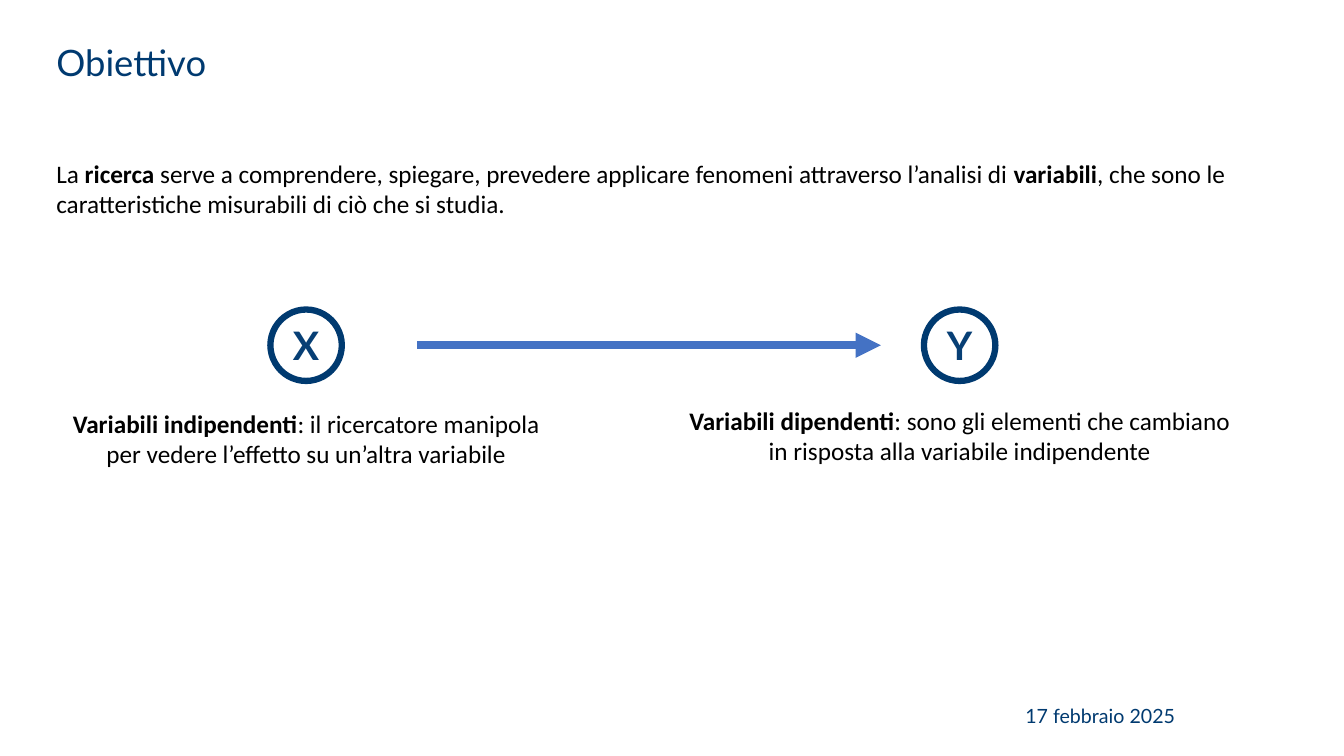
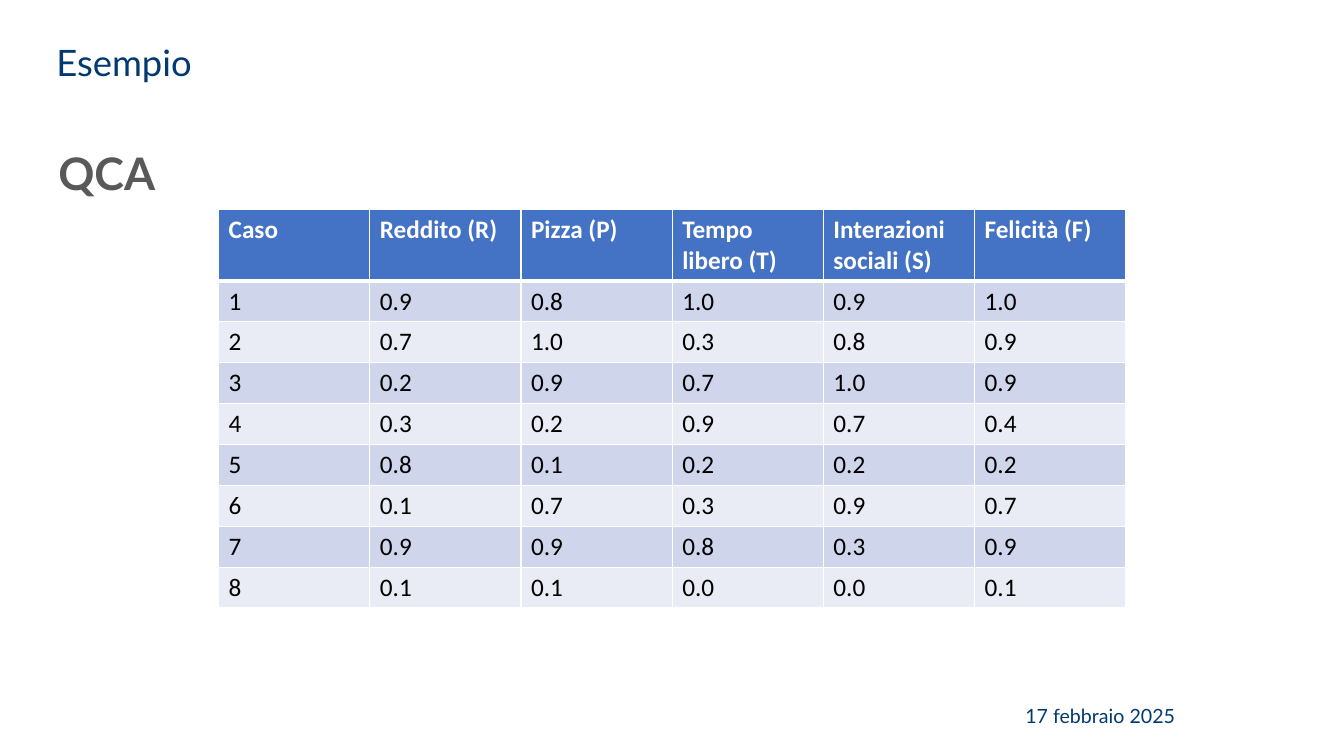
import pptx
import pptx.dml.color
import pptx.enum.shapes
import pptx.enum.text
import pptx.oxml
import pptx.oxml.ns
import pptx.util
from lxml import etree

Cm = pptx.util.Cm
Pt = pptx.util.Pt
RGBColor = pptx.dml.color.RGBColor
ALIGN = pptx.enum.text.PP_ALIGN
ANCHOR = pptx.enum.text.MSO_ANCHOR

NAVY = RGBColor(0x00, 0x3A, 0x70)
LETTER_NAVY = RGBColor(0x07, 0x3F, 0x75)
BLUE = RGBColor(0x44, 0x72, 0xC4)
GREY = RGBColor(0x59, 0x59, 0x59)
BLACK = RGBColor(0x00, 0x00, 0x00)
WHITE = RGBColor(0xFF, 0xFF, 0xFF)
BAND_DARK = RGBColor(0xCF, 0xD5, 0xEA)
BAND_LIGHT = RGBColor(0xE9, 0xEB, 0xF5)

TITLE = {"name": "Lato", "size": Pt(26), "color": NAVY, "bold": False}
DATE = {"name": "Lato", "size": Pt(14), "color": NAVY, "bold": False}
BODY = {"name": "Calibri", "size": Pt(18), "color": BLACK, "bold": False}
HEADER = {**BODY, "color": WHITE, "bold": True}
LETTER = {"name": "Lato", "size": Pt(28), "color": LETTER_NAVY, "bold": True}
METHOD = {"name": "Lato", "size": Pt(32), "color": GREY, "bold": True}

DATE_FRAME = {
    "vertical_anchor": ANCHOR.BOTTOM,
    "margin_left": Cm(0.2),
    "margin_right": Cm(0.2),
    "margin_top": 0,
    "margin_bottom": 0,
}
LETTER_FRAME = {
    "vertical_anchor": ANCHOR.MIDDLE,
    "margin_left": 0,
    "margin_right": 0,
    "margin_top": 0,
    "margin_bottom": 0,
}


class Deck:
    def __init__(self):
        self.presentation = pptx.Presentation()
        self.presentation.slide_width = Cm(33.87)
        self.presentation.slide_height = Cm(19.05)
        self.slide = None

    def new_slide(self, title):
        blank = self.presentation.slide_layouts[6]
        self.slide = self.presentation.slides.add_slide(blank)
        self.text((1.17, 1.02, 31.17, 2.77), [title], TITLE, spacing=0.9)
        self.text((23.47, 17.3, 6.35, 1.02), ["17 febbraio 2025"], DATE,
                  ALIGN.RIGHT, frame_format=DATE_FRAME)

    def apply(self, target, values):
        for name, value in values.items():
            if name == "color":
                target.color.rgb = value
            else:
                setattr(target, name, value)

    def fill_text(self, frame, pieces, style, align=ALIGN.LEFT, spacing=1.0):
        paragraph = frame.paragraphs[0]
        self.apply(paragraph, {"alignment": align, "line_spacing": spacing})
        for piece in pieces:
            wording, changes = (piece, {}) if isinstance(piece, str) else piece
            run = paragraph.add_run()
            run.text = wording
            self.apply(run.font, {**style, **changes})

    def text(self, place, pieces, style, align=ALIGN.LEFT, spacing=1.0, frame_format=None):
        frame = self.slide.shapes.add_textbox(*map(Cm, place)).text_frame
        self.apply(frame, {"word_wrap": True, **(frame_format or {})})
        self.fill_text(frame, pieces, style, align, spacing)

    def circle(self, left, top, diameter, letter):
        circle = self.slide.shapes.add_shape(
            pptx.enum.shapes.MSO_SHAPE.OVAL,
            Cm(left), Cm(top), Cm(diameter), Cm(diameter))
        circle.shadow.inherit = False
        circle.fill.background()
        self.apply(circle.line, {"color": NAVY, "width": Pt(4.5)})
        self.apply(circle.text_frame, LETTER_FRAME)
        self.fill_text(circle.text_frame, [letter], LETTER, ALIGN.CENTER)

    def arrow(self, start, end, height):
        arrow = self.slide.shapes.add_connector(
            pptx.enum.shapes.MSO_CONNECTOR.STRAIGHT,
            Cm(start), Cm(height), Cm(end), Cm(height))
        self.apply(arrow.line, {"color": BLUE, "width": Pt(6)})
        properties = arrow._element.spPr
        line = properties.find(pptx.oxml.ns.qn("a:ln"))
        etree.SubElement(line, pptx.oxml.ns.qn("a:tailEnd"), type="triangle")
        etree.SubElement(properties, pptx.oxml.ns.qn("a:effectLst"))

    def borders(self, cell, widths):
        properties = cell._tc.get_or_add_tcPr()
        for side, width in widths.items():
            properties.append(pptx.oxml.parse_xml(
                f'<a:{side} {pptx.oxml.ns.nsdecls("a")} w="{Pt(width)}">'
                f'<a:solidFill><a:srgbClr val="{WHITE}"/></a:solidFill></a:{side}>'))

    def table(self, left, top, column_width, header_height, row_height, rows):
        columns = len(rows[0])
        height = header_height + row_height * (len(rows) - 1)
        table = self.slide.shapes.add_table(
            len(rows), columns, Cm(left), Cm(top),
            Cm(column_width * columns), Cm(height)).table
        for column in table.columns:
            column.width = Cm(column_width)
        for number, values in enumerate(rows):
            header = number == 0
            table.rows[number].height = Cm(header_height if header else row_height)
            band = BLUE if header else (BAND_LIGHT, BAND_DARK)[number % 2]
            widths = {"lnL": 1, "lnR": 1,
                      "lnT": 3 if number == 1 else 1,
                      "lnB": 3 if header else 1}
            for cell, value in zip(table.rows[number].cells, values):
                self.borders(cell, widths)
                cell.fill.solid()
                cell.fill.fore_color.rgb = band
                self.fill_text(cell.text_frame, [value], HEADER if header else BODY)

    def save(self):
        self.presentation.save("out.pptx")


def objective(deck):
    bold = {"bold": True}
    circle_top, diameter = 7.8, 1.8
    variables = [
        ("X", 1.3, 10.16, 12.83, "Variabili indipendenti",
         ": il ricercatore manipola per vedere l’effetto su un’altra variabile"),
        ("Y", 16.97, 10.08, 14.43, "Variabili dipendenti",
         ": sono gli elementi che cambiano in risposta alla variabile indipendente"),
    ]
    deck.new_slide("Obiettivo")
    deck.text((1.17, 3.86, 31.5, 1.8), [
        "La ",
        ("ricerca", bold),
        " serve a comprendere, spiegare, prevedere applicare fenomeni attraverso l’analisi di ",
        ("variabili", bold),
        ", che sono le caratteristiche misurabili di ciò che si studia.",
    ], BODY)
    for letter, left, top, width, term, meaning in variables:
        deck.circle(left + (width - diameter) / 2, circle_top, diameter, letter)
        deck.text((left, top, width, 1.8), [(term, bold), meaning], BODY, ALIGN.CENTER)
    deck.arrow(10.52, 22.2, circle_top + diameter / 2)


def example(deck):
    cases = [
        ("0.9", "0.8", "1.0", "0.9", "1.0"),
        ("0.7", "1.0", "0.3", "0.8", "0.9"),
        ("0.2", "0.9", "0.7", "1.0", "0.9"),
        ("0.3", "0.2", "0.9", "0.7", "0.4"),
        ("0.8", "0.1", "0.2", "0.2", "0.2"),
        ("0.1", "0.7", "0.3", "0.9", "0.7"),
        ("0.9", "0.9", "0.8", "0.3", "0.9"),
        ("0.1", "0.1", "0.0", "0.0", "0.1"),
    ]
    headings = ("Caso", "Reddito (R)", "Pizza (P)", "Tempo libero (T)",
                "Interazioni sociali (S)", "Felicità (F)")
    numbered = [(str(number), *scores) for number, scores in enumerate(cases, 1)]
    deck.new_slide("Esempio")
    deck.text((1.22, 3.23, 10.72, 2.08), ["QCA"], METHOD, spacing=1.1,
              frame_format={"vertical_anchor": ANCHOR.MIDDLE})
    deck.table(5.51, 5.28, 3.81, 1.8, 1.03, [headings, *numbered])


def main():
    deck = Deck()
    objective(deck)
    example(deck)
    deck.save()


if __name__ == "__main__":
    main()
